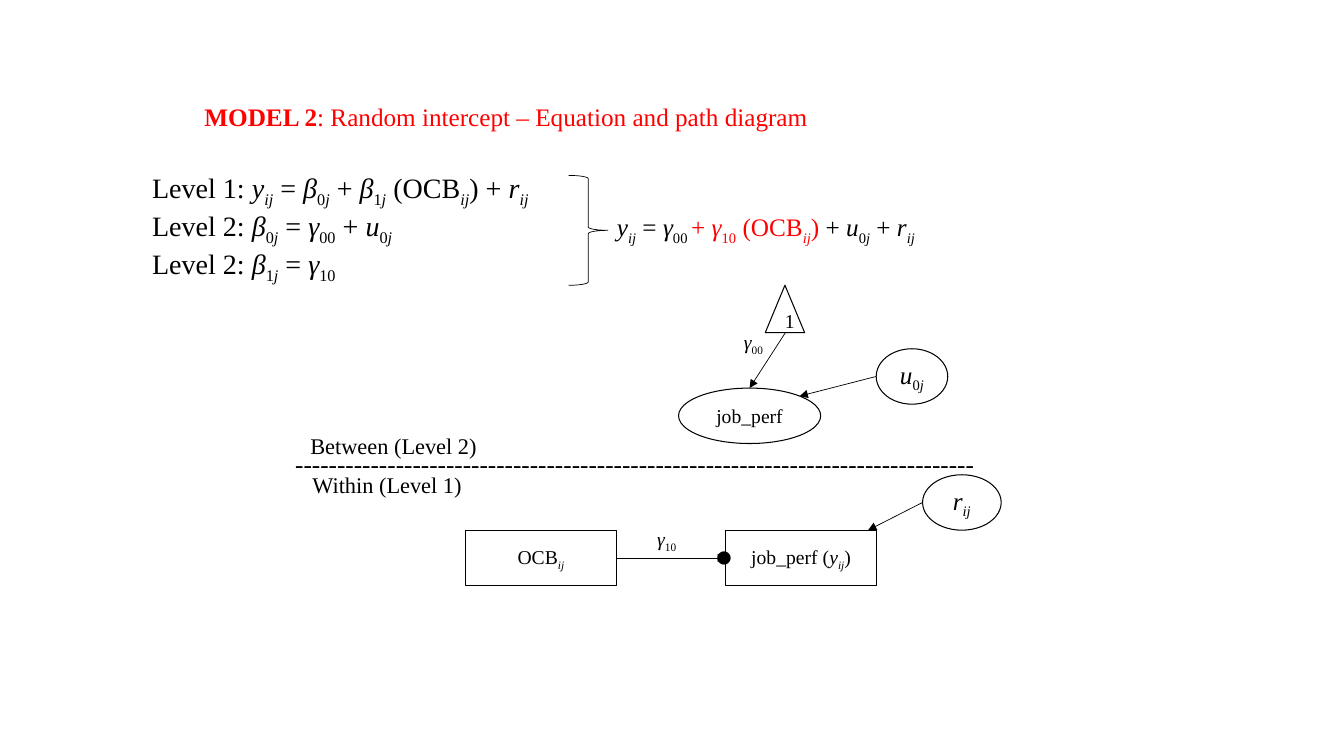
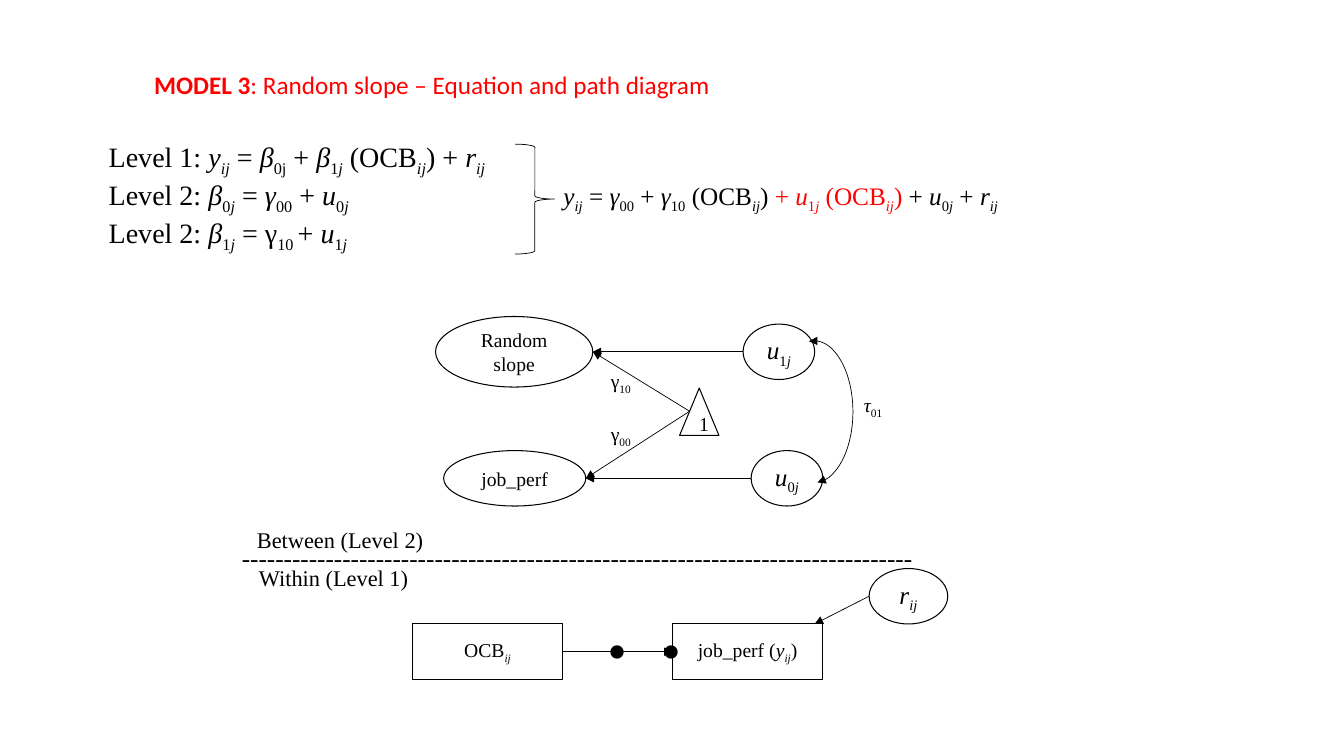
import pptx
import pptx.dml.color
import pptx.enum.shapes
import pptx.enum.text
import pptx.oxml.ns
import pptx.util
from lxml import etree
from pptx.util import Inches

BLACK = pptx.dml.color.RGBColor(0x00, 0x00, 0x00)
RED = pptx.dml.color.RGBColor(0xFF, 0x00, 0x00)
SERIF = "Times New Roman"
SANS = "Calibri"
SHAPE = pptx.enum.shapes.MSO_SHAPE
ALIGN = pptx.enum.text.PP_ALIGN
ANCHOR = pptx.enum.text.MSO_ANCHOR
AUTO_SIZE = pptx.enum.text.MSO_AUTO_SIZE

TOP, LEFT, BOTTOM, RIGHT = range(4)
NODE_HEIGHT = 0.55
BOX_WIDTH = 1.49
DISTURBANCE_WIDTH = 0.71
FACTOR_WIDTH = 1.41


def write(frame, text, size=14, font=SERIF, color=BLACK, align=ALIGN.LEFT):
    """Fill a frame; * toggles italic, ~ subscript, ^ red and # bold."""
    for index, line in enumerate(text.split("\n")):
        para = frame.paragraphs[0] if index == 0 else frame.add_paragraph()
        para.alignment = align
        active, piece = set(), ""
        for mark in line + "\0":
            if mark not in "*~^#\0":
                piece += mark
                continue
            if piece:
                span = para.add_run()
                span.text = piece
                span.font.name = font
                span.font.size = pptx.util.Pt(size)
                span.font.bold = "#" in active
                span.font.italic = "*" in active
                span.font.color.rgb = RED if "^" in active else color
                if "~" in active:
                    span._r.get_or_add_rPr().set("baseline", "-25000")
                piece = ""
            active ^= {mark}


def add_text(page, left, top, width, height, text, wrap=True, **text_format):
    box = page.shapes.add_textbox(
        Inches(left), Inches(top), Inches(width), Inches(height))
    box.text_frame.word_wrap = wrap
    box.text_frame.auto_size = AUTO_SIZE.SHAPE_TO_FIT_TEXT
    write(box.text_frame, text, **text_format)


def add_node(page, kind, left, top, width, height, text="", weight=0.75, size=14):
    node = page.shapes.add_shape(
        kind, Inches(left), Inches(top), Inches(width), Inches(height))
    node.shadow.inherit = False
    node.fill.background()
    node.line.color.rgb = BLACK
    node.line.width = pptx.util.Pt(weight)
    if text:
        node.text_frame.vertical_anchor = ANCHOR.MIDDLE
        write(node.text_frame, text, size=size, align=ALIGN.CENTER)
    return node


def add_arrowheads(line, *ends):
    for end in ends:
        head = etree.SubElement(
            line._get_or_add_ln(), pptx.oxml.ns.qn("a:" + end))
        head.set("type", "triangle")


def add_arrow(page, start, finish):
    arrow = page.shapes.add_connector(
        pptx.enum.shapes.MSO_CONNECTOR.STRAIGHT,
        *(Inches(length) for length in (*start, *finish)))
    arrow.line.color.rgb = BLACK
    arrow.line.width = pptx.util.Pt(0.5)
    add_arrowheads(arrow.line, "tailEnd")
    etree.SubElement(arrow._element.spPr, pptx.oxml.ns.qn("a:effectLst"))
    return arrow


def add_ellipse(page, left, top, width, text, height=NODE_HEIGHT, size=14):
    add_node(page, SHAPE.OVAL, left, top, width, height, text, size=size)


def add_constant(page, left, top):
    add_node(page, SHAPE.ISOSCELES_TRIANGLE, left, top, 0.39, 0.47, "1")


def add_coefficient(page, left, top, text):
    add_text(page, left, top, 0.43, 0.34, text, wrap=False)


def add_title(page, left, top, text, font):
    add_text(page, left, top, 9.8, 0.4, text, size=18, font=font, color=RED)


def add_equations(page, left, top, width, levels, combined):
    """Level equations, a brace, and the equation they combine into."""
    add_text(page, left, top, width, 1.11, levels, size=20)
    add_node(page, SHAPE.RIGHT_BRACE, left + width - 0.07, top + 0.1,
             0.39, 1.09, weight=0.5)
    add_text(page, left + width + 0.31, top + 0.41, 4.73, 0.4, combined, size=18)


def add_within_level(page, left, top, dash_count, dot_offsets):
    """Level divider and within-level path; left and top place the predictor."""
    add_text(page, left - 1.79, top - 0.86, 7.1, 0.4, "-" * dash_count, size=18)
    add_text(page, left - 1.64, top - 1.02, 1.88, 0.37, "Between (Level 2)", size=16)
    add_text(page, left - 1.62, top - 0.64, 1.71, 0.37, "Within (Level 1)", size=16)

    outcome_left = left + 2.58
    predictor, outcome = (
        add_node(page, SHAPE.RECTANGLE, box_left, top, BOX_WIDTH, NODE_HEIGHT, text)
        for box_left, text in ((left, "OCB*~ij~*"),
                               (outcome_left, "job_perf (*y~ij~*)")))
    middle = top + NODE_HEIGHT / 2
    path_arrow = add_arrow(page, (left + BOX_WIDTH, middle), (outcome_left, middle))
    path_arrow.begin_connect(predictor, RIGHT)
    path_arrow.end_connect(outcome, LEFT)

    residual_left = left + 4.53
    add_ellipse(page, residual_left, top - NODE_HEIGHT, 0.78, "*r~ij~*", size=18)
    add_arrow(page, (residual_left, top - NODE_HEIGHT / 2), (left + 3.99, top))
    for offset in dot_offsets:
        add_text(page, left + offset, top - 0.83, 0.48, 1.45, ".", size=80)


def add_random_intercept(page, left, top):
    """Between-level path with one factor."""
    factor_top = top + 1.02
    disturbance = (left + 1.96, top + 0.63)
    add_constant(page, left + 0.86, top)
    add_ellipse(page, left, factor_top, FACTOR_WIDTH, "job_perf")
    add_ellipse(page, *disturbance, DISTURBANCE_WIDTH, "*u*~0*j*~", size=18)
    add_arrow(page, (left + 1.06, top + 0.47),
              (left + FACTOR_WIDTH / 2, factor_top))
    add_arrow(page, (disturbance[0], disturbance[1] + NODE_HEIGHT / 2),
              (left + 1.2, top + 1.1))
    add_coefficient(page, left + 0.55, top + 0.39, "*γ*~00~")


def add_random_slope(page, left, top):
    """Between-level path with two factors whose disturbances covary."""
    constant_side = (left + 2.52, top + 0.94)
    add_constant(page, left + 2.42, top + 0.71)
    factors = (
        (0, 0, 1.56, 0.7, "Random slope", 3.05, "*u*~1*j*~", 0.47, "γ~10~"),
        (0.08, 1.33, FACTOR_WIDTH, NODE_HEIGHT, "job_perf",
         3.13, "*u*~0*j*~", 1.0, "γ~00~"),
    )
    for (x, y, width, height, name, disturbance_x, disturbance,
         label_y, label) in factors:
        middle = top + y + height / 2
        factor_side = (left + x + width, middle)
        add_ellipse(page, left + x, top + y, width, name, height=height)
        add_ellipse(page, left + disturbance_x, middle - NODE_HEIGHT / 2,
                    DISTURBANCE_WIDTH, disturbance, size=18)
        add_arrow(page, (left + disturbance_x, middle), factor_side)
        add_arrow(page, constant_side, factor_side)
        add_coefficient(page, left + 1.64, top + label_y, label)

    covariance = add_node(page, SHAPE.ARC, left + 3.36, top + 0.24,
                          0.78, 1.41, weight=0.5)
    covariance.adjustments[0] = 159.75
    covariance.adjustments[1] = 52.17
    add_arrowheads(covariance.line, "headEnd", "tailEnd")
    add_coefficient(page, left + 4.15, top + 0.71, "*τ*~01~")


def build_intercept_page(page):
    add_title(page, 1.93, 0.96,
              "#MODEL 2#: Random intercept – Equation and path diagram", SERIF)
    add_equations(
        page, 1.41, 1.64, 4.3,
        "Level 1: *y~ij~* = *β*~0*j*~ + *β*~1*j*~ (OCB*~ij~*) + *r~ij~*\n"
        "Level 2: *β*~0*j*~ = *γ*~00~ + *u*~0*j*~\n"
        "Level 2: *β*~1*j*~ = *γ*~10~",
        "*y~ij~* = *γ*~00 ~^+ *γ*~10~ (OCB*~ij~*) ^+ *u*~0*j*~ + *r~ij~*")
    add_random_intercept(page, 6.73, 2.83)
    add_within_level(page, 4.62, 5.26, 81, [2.33])
    add_coefficient(page, 6.42, 5.18, "*γ*~10~")


def build_slope_page(page):
    add_title(page, 1.43, 0.64,
              "#MODEL 3#: Random slope – Equation and path diagram", SANS)
    add_equations(
        page, 0.98, 1.33, 4.2,
        "Level 1: *y~ij~* = *β*~0j~ + *β*~1*j*~ (OCB*~ij~*) + *r~ij~*\n"
        "Level 2: *β*~0*j*~ = *γ*~00~ + *u*~0*j*~\n"
        "Level 2: *β*~1*j*~ = γ~10 ~+ *u*~1*j*~",
        "*y~ij~* = *γ*~00~ + *γ*~10~ (OCB*~ij~*)"
        "^ + *u*~1*j*~ (OCB*~ij~*) ^+ *u*~0*j*~ + *r~ij~*")
    add_random_slope(page, 4.32, 3.14)
    add_within_level(page, 4.09, 6.19, 80, [1.8, 2.33])


def main():
    deck = pptx.Presentation()
    deck.slide_width = Inches(13.33)
    deck.slide_height = Inches(7.5)
    blank = deck.slide_layouts[6]
    for build in (build_intercept_page, build_slope_page):
        build(deck.slides.add_slide(blank))
    deck.save("out.pptx")


if __name__ == "__main__":
    main()
